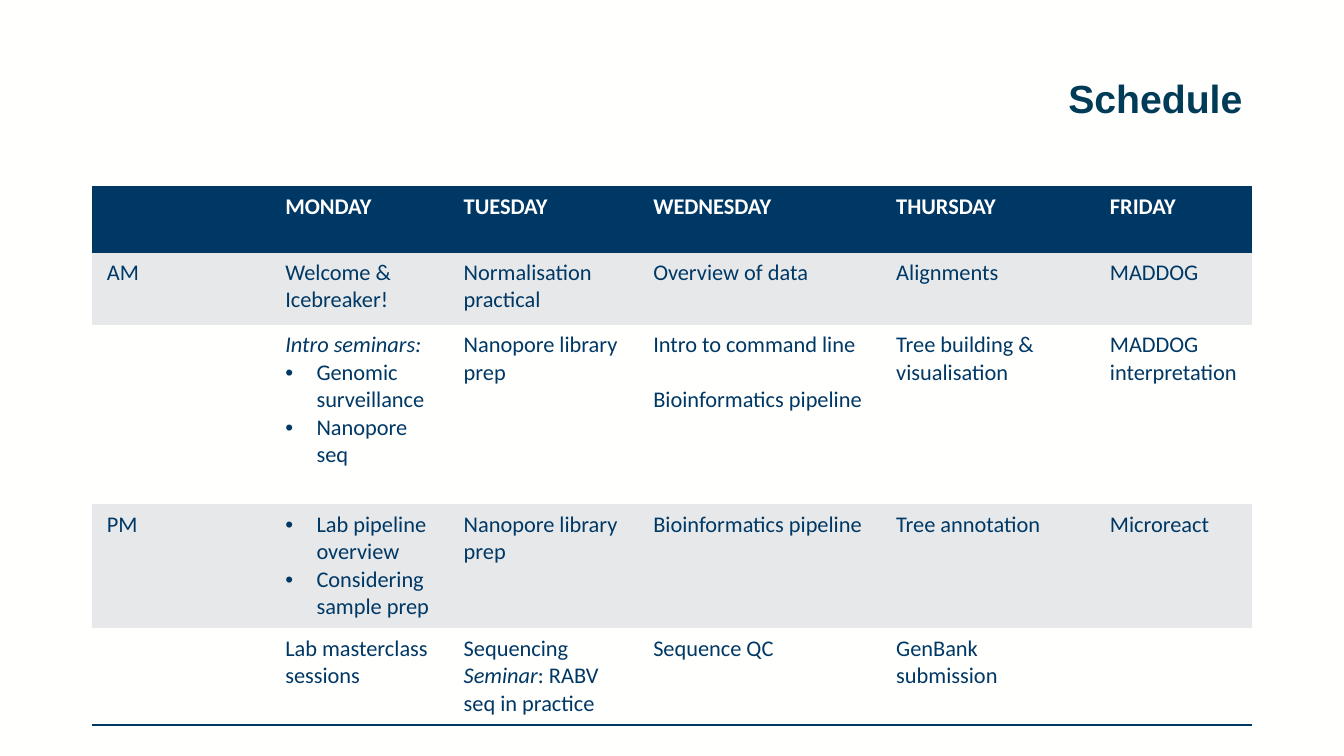
"""Build the weekly workshop schedule slide."""
from dataclasses import dataclass

from lxml.etree import SubElement
from pptx import Presentation
from pptx.dml.color import RGBColor
from pptx.enum.text import PP_ALIGN as Align
from pptx.oxml import parse_xml
from pptx.oxml.ns import nsdecls, qn
from pptx.util import Inches, Pt


@dataclass(frozen=True)
class Theme:
    background: str = "FFFFFE"
    title: str = "003B58"
    navy: str = "003865"
    band: str = "E7E8EA"
    header_text: str = "FFFFFF"
    title_font: str = "Arial"
    table_font: str = "Calibri"
    title_size: int = 28
    table_size: int = 16
    border: float = 1.5
    plain_style: str = "{2D5ABB26-0587-4C30-8999-92F81FD0307C}"


@dataclass(frozen=True)
class Line:
    text: str = ""
    italic: str = ""
    bullet: bool = False
    gap: float = 0


THEME = Theme()
TITLE = "Schedule"
SCHEDULE = [
    ["", "MONDAY", "TUESDAY", "WEDNESDAY", "THURSDAY", "FRIDAY"],
    ["AM", ["Welcome &", "Icebreaker!"], "Normalisation practical",
     "Overview of data", "Alignments", "MADDOG"],
    ["", [Line(italic="Intro seminars:"), Line("Genomic surveillance", bullet=True),
          Line("Nanopore seq", bullet=True)],
     "Nanopore library prep",
     ["Intro to command line", Line("Bioinformatics pipeline", gap=19.5)],
     "Tree building & visualisation", "MADDOG interpretation"],
    ["PM", [Line("Lab pipeline overview", bullet=True),
            Line("Considering sample prep", bullet=True)],
     "Nanopore library prep", "Bioinformatics pipeline", "Tree annotation", "Microreact"],
    ["", "Lab masterclass sessions",
     ["Sequencing", Line(": RABV seq in practice", italic="Seminar")],
     "Sequence QC", "GenBank submission", ""],
]
COLUMN_WIDTHS = [1.77, 1.77, 1.88, 2.41, 2.12, 1.56]
ROW_HEIGHTS = [0.65, 0.72, 1.78, 1.23, 0.96]
TABLE_LEFT, TABLE_TOP = 0.91, 1.85
MARGIN_LEFT, MARGIN_RIGHT, MARGIN_VERTICAL = 0.15, 0.12, 0.07


def add_run(paragraph, text, font_name, size, color, bold=False, italic=False):
    run = paragraph.add_run()
    run.text = text
    font = run.font
    font.name, font.size = font_name, Pt(size)
    font.bold, font.italic = bold, italic
    font.color.rgb = RGBColor.from_string(color)


def add_bullet(paragraph):
    properties = paragraph._p.get_or_add_pPr()
    properties.set("marL", str(Inches(0.31)))
    properties.set("indent", str(-Inches(0.31)))
    SubElement(properties, qn("a:buFont")).set("typeface", "Arial")
    SubElement(properties, qn("a:buChar")).set("char", "•")


def add_borders(cell, sides):
    for index, side in enumerate(sides):
        border = parse_xml(
            f'<a:{side} {nsdecls("a")} w="{Pt(THEME.border)}"><a:solidFill>'
            f'<a:srgbClr val="{THEME.navy}"/></a:solidFill></a:{side}>')
        cell._tc.get_or_add_tcPr().insert(index, border)


def fill_cell(cell, content, row):
    header = row == 0
    fill = THEME.navy if header else THEME.band if row % 2 else THEME.background
    color = THEME.header_text if header else THEME.navy
    cell.fill.solid()
    cell.fill.fore_color.rgb = RGBColor.from_string(fill)
    cell.margin_left, cell.margin_right = Inches(MARGIN_LEFT), Inches(MARGIN_RIGHT)
    cell.margin_top = cell.margin_bottom = Inches(MARGIN_VERTICAL)
    if header:
        add_borders(cell, ["lnT", "lnB"])
    elif row == len(SCHEDULE) - 1:
        add_borders(cell, ["lnB"])
    lines = content if isinstance(content, list) else [content]
    frame = cell.text_frame
    for index, item in enumerate(lines):
        line = item if isinstance(item, Line) else Line(item)
        paragraph = frame.add_paragraph() if index else frame.paragraphs[0]
        if line.gap:
            paragraph.space_before = Pt(line.gap)
        if line.bullet:
            add_bullet(paragraph)
        for text, italic in ((line.italic, True), (line.text, False)):
            if text:
                add_run(paragraph, text, THEME.table_font, THEME.table_size,
                        color, header, italic)


def add_title(slide):
    box = slide.shapes.add_textbox(Inches(6.03), Inches(0.74), Inches(6.39), Inches(1.1))
    box.text_frame.word_wrap = True
    paragraph = box.text_frame.paragraphs[0]
    paragraph.alignment = Align.RIGHT
    paragraph.line_spacing = 0.9
    add_run(paragraph, TITLE, THEME.title_font, THEME.title_size, THEME.title, bold=True)


def add_schedule(slide):
    frame = slide.shapes.add_table(
        len(ROW_HEIGHTS), len(COLUMN_WIDTHS), Inches(TABLE_LEFT), Inches(TABLE_TOP),
        Inches(sum(COLUMN_WIDTHS)), Inches(sum(ROW_HEIGHTS)))
    table = frame.table
    table.horz_banding = False
    table._tbl.tblPr.find(qn("a:tableStyleId")).text = THEME.plain_style
    for column, width in zip(table.columns, COLUMN_WIDTHS):
        column.width = Inches(width)
    for row, height in zip(table.rows, ROW_HEIGHTS):
        row.height = Inches(height)
    for row, contents in enumerate(SCHEDULE):
        for column, content in enumerate(contents):
            fill_cell(table.cell(row, column), content, row)


def main():
    presentation = Presentation()
    presentation.slide_width, presentation.slide_height = Inches(13.33), Inches(7.5)
    slide = presentation.slides.add_slide(presentation.slide_layouts[6])
    slide.background.fill.solid()
    slide.background.fill.fore_color.rgb = RGBColor.from_string(THEME.background)
    add_title(slide)
    add_schedule(slide)
    presentation.save("out.pptx")


if __name__ == "__main__":
    main()
